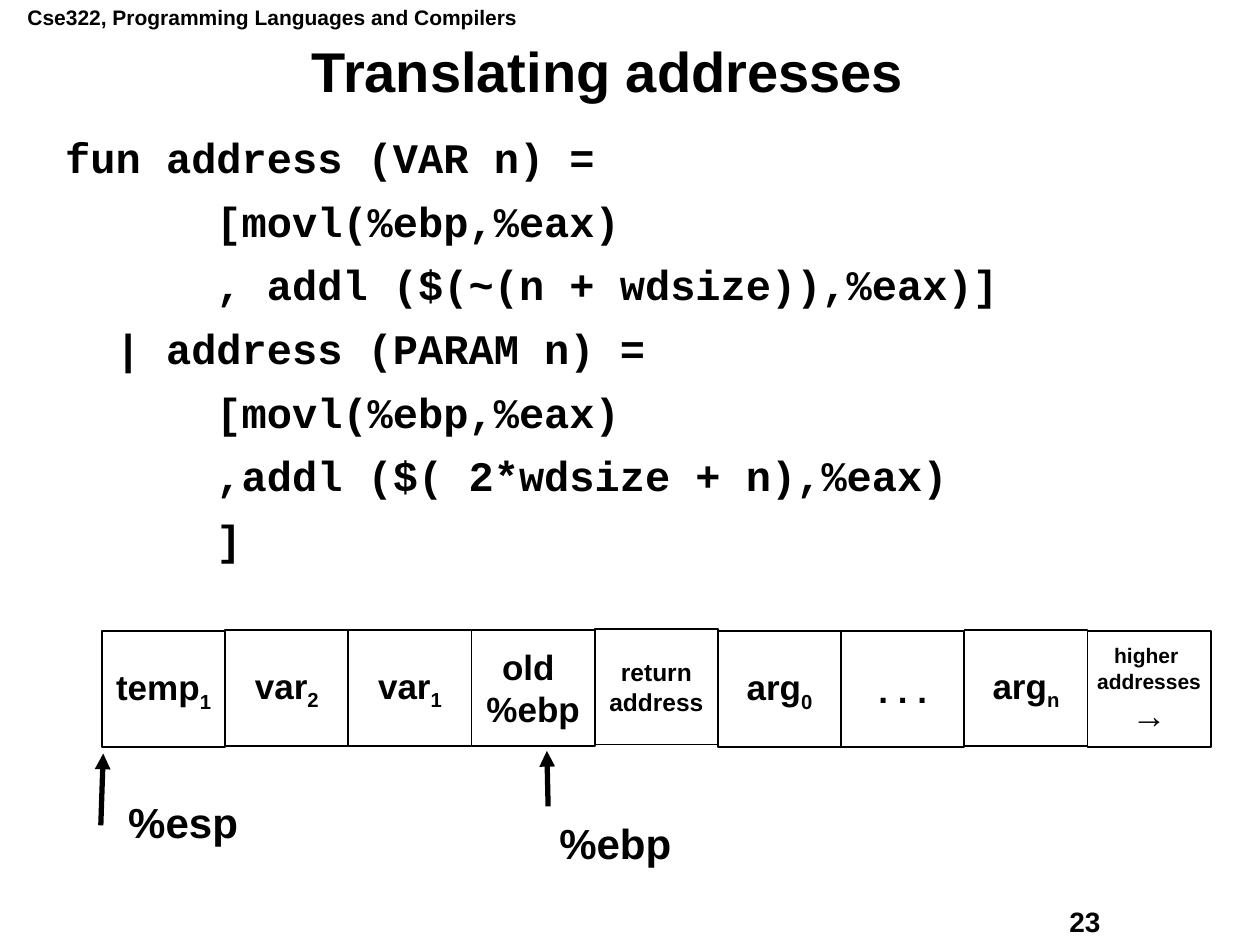
from lxml.etree import SubElement
from pptx import Presentation
from pptx.dml.color import RGBColor
from pptx.enum.shapes import MSO_CONNECTOR, MSO_SHAPE
from pptx.enum.text import MSO_ANCHOR, PP_ALIGN
from pptx.oxml.ns import qn
from pptx.util import Pt

BLACK, WHITE = "000000", "FFFFFF"
CODE = [
    "fun address (VAR n) =",
    "      [movl(%ebp,%eax)",
    "      , addl ($(~(n + wdsize)),%eax)]",
    "  | address (PARAM n) =",
    "      [movl(%ebp,%eax)",
    "      ,addl ($( 2*wdsize + n),%eax)",
    "      ]",
]
# Each cell: vertical offset, then lines of (text, size, subscript)
CELLS = [
    (0.7, [("temp", 20, "1")]),
    (0, [("var", 20, "2")]),
    (0, [("var", 20, "1")]),
    (0, [("old ", 20, ""), ("%ebp", 20, "")]),
    (-0.7, [("return", 14, ""), ("address", 14, "")]),
    (0.7, [("arg", 20, "0")]),
    (0.7, [(". . .", 20, "")]),
    (0, [("arg", 20, "n")]),
    (0.7, [("higher ", 12, ""), ("addresses", 12, ""), ("→", 20, "")]),
]


def color(code):
    return RGBColor.from_string(code)


def add_run(para, text, size, font="Arial"):
    run = para.add_run()
    run.text = text
    style = {"name": font, "size": Pt(size), "bold": True}
    for key, value in style.items():
        setattr(run.font, key, value)
    run.font.color.rgb = color(BLACK)
    return run


def add_lines(frame, lines, font="Arial", **style):
    """Write (text, size, subscript) lines, with paragraph format values."""
    for i, (text, size, sub) in enumerate(lines):
        para = frame.add_paragraph() if i else frame.paragraphs[0]
        for key, value in style.items():
            if i or key != "space_before":
                setattr(para, key, value)
        add_run(para, text, size, font)
        if sub:
            low = add_run(para, sub, size, font)
            low._r.get_or_add_rPr().set("baseline", "-25000")


def add_text(slide, box, lines, wrap=True, anchor=MSO_ANCHOR.TOP, **style):
    frame = slide.shapes.add_textbox(*map(Pt, box)).text_frame
    frame.word_wrap = wrap
    frame.vertical_anchor = anchor
    add_lines(frame, lines, **style)


def add_code(slide, box):
    add_text(slide, box, [(line, 24, "") for line in CODE],
             font="Courier New", line_spacing=0.9, space_before=Pt(10.5))


def add_stack(slide, box):
    """Draw the memory cells side by side across the box."""
    left, top, width, height = box
    step = width / len(CELLS)
    for i, (shift, lines) in enumerate(CELLS):
        cell = slide.shapes.add_shape(
            MSO_SHAPE.RECTANGLE, Pt(left + i * step), Pt(top + shift),
            Pt(step), Pt(height))
        cell.shadow.inherit = False
        cell.fill.solid()
        cell.fill.fore_color.rgb = color(WHITE)
        cell.line.color.rgb = color(BLACK)
        cell.line.width = Pt(1)
        frame = cell.text_frame
        frame.word_wrap = False
        frame.vertical_anchor = MSO_ANCHOR.MIDDLE
        add_lines(frame, lines, alignment=PP_ALIGN.CENTER)


def add_pointer(slide, tip, tail, box, name):
    """Draw an arrow up to tip and a register name in the box."""
    arrow = slide.shapes.add_connector(
        MSO_CONNECTOR.STRAIGHT, *map(Pt, tip + tail))
    arrow.line.color.rgb = color(BLACK)
    arrow.line.width = Pt(3)
    SubElement(arrow.line._get_or_add_ln(), qn("a:headEnd"), type="triangle")
    SubElement(arrow._element.spPr, qn("a:effectLst"))
    add_text(slide, box, [(name, 24, "")])


def main():
    deck = Presentation()
    deck.slide_width, deck.slide_height = Pt(720), Pt(540)
    slide = deck.slides.add_slide(deck.slide_layouts[6])
    add_text(slide, (8.6, -0.7, 294.5, 21.6),
             [("Cse322, Programming Languages and Compilers", 12, "")],
             wrap=False)
    add_text(slide, (604, 513.4, 91.4, 26), [("23", 16, "")], wrap=False)
    add_text(slide, (22.3, 22.3, 650.2, 40.3),
             [("Translating addresses", 32, "")], anchor=MSO_ANCHOR.MIDDLE,
             alignment=PP_ALIGN.CENTER, line_spacing=0.9)
    add_code(slide, (30.2, 74.9, 642.2, 429.1))
    add_stack(slide, (58.3, 360, 633.6, 66.2))
    add_pointer(slide, (59, 430.6), (57.6, 471.6),
                (66.2, 451.4, 116.6, 36), "%esp")
    add_pointer(slide, (312.5, 429.1), (313.2, 460.8),
                (312.5, 463.7, 116.6, 36), "%ebp")
    deck.save("out.pptx")


if __name__ == "__main__":
    main()
